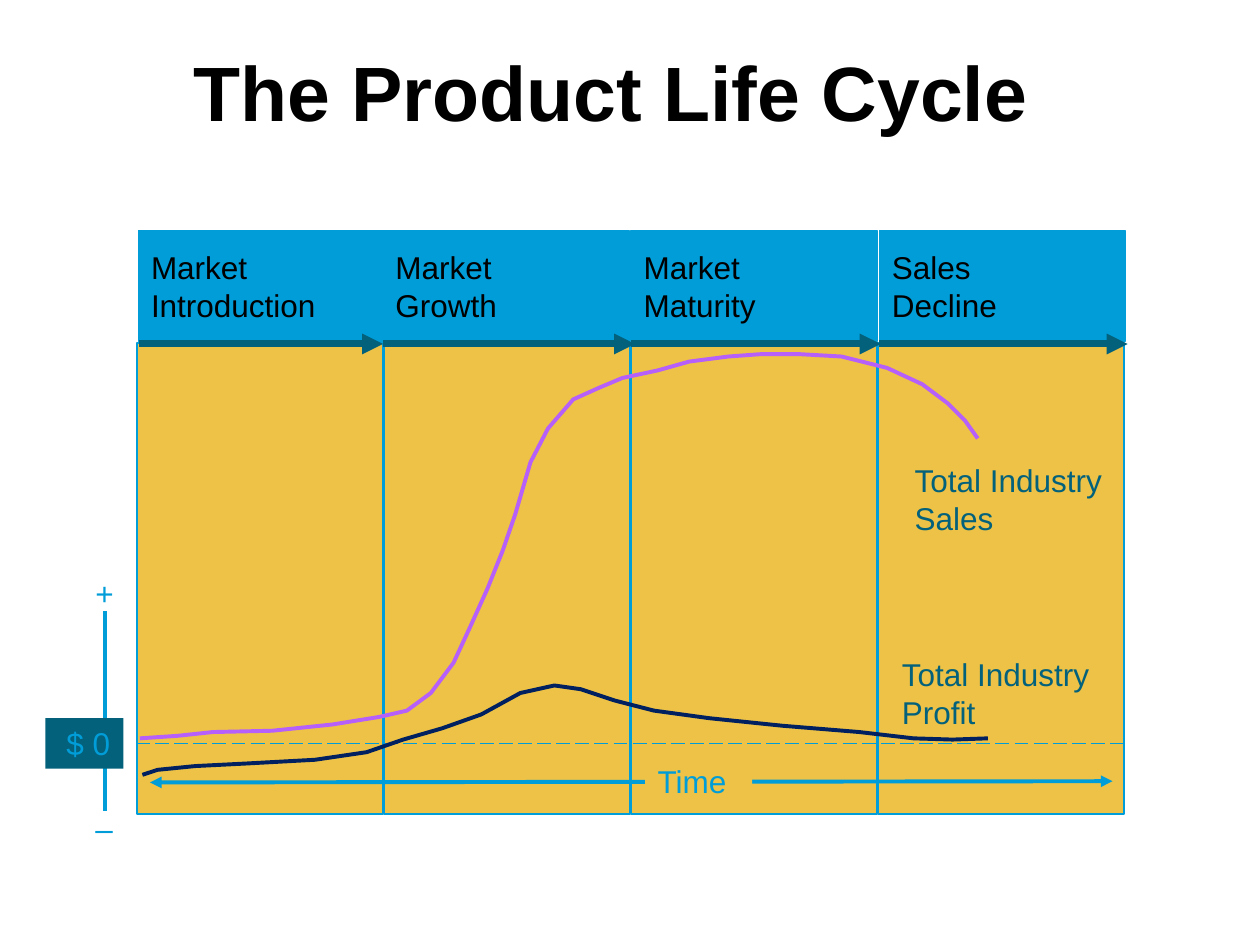
from lxml.etree import SubElement as Sub
from pptx import Presentation
from pptx.dml.color import RGBColor as Rgb
from pptx.enum.dml import MSO_LINE as Dash
from pptx.enum.shapes import MSO_CONNECTOR as Link, MSO_SHAPE as Shape
from pptx.enum.text import MSO_ANCHOR as Anchor, PP_ALIGN as Align
from pptx.oxml.ns import qn
from pptx.util import Inches, Pt

HUES = {
    "gold": "EDC246", "blue": "009DD9", "teal": "04617B",
    "violet": "B760F9", "navy": "002060", "black": "000000",
}
FONT = {"name": "Arial", "size": Pt(18), "bold": False}
HEAD = {"name": "Arial", "size": Pt(44), "bold": True}
PADS = {"margin_left": Inches(0.1), "margin_right": Inches(0.1),
        "margin_top": Inches(0.05), "margin_bottom": Inches(0.05)}
THIN = {"margin_left": Inches(0.05), "margin_right": Inches(0.05),
        "margin_top": Inches(0.02), "margin_bottom": Inches(0.02)}
STAGES = [
    (1.1, 3.04, "Market\nIntroduction"), (3.04, 5.04, "Market\nGrowth"),
    (5.01, 6.99, "Market\nMaturity"), (6.98, 8.95, "Sales\nDecline"),
]
SALES = [
    (1.11, 5.86), (1.41, 5.84), (1.69, 5.81), (2.16, 5.8), (2.64, 5.75),
    (3.01, 5.69), (3.23, 5.64), (3.42, 5.5), (3.6, 5.26), (3.73, 4.98),
    (3.87, 4.67), (3.99, 4.37), (4.09, 4.08), (4.21, 3.67), (4.35, 3.4),
    (4.55, 3.17), (4.75, 3.08), (4.94, 3), (5.22, 2.94), (5.47, 2.87),
    (5.78, 2.83), (6.05, 2.81), (6.33, 2.81), (6.68, 2.83), (7.04, 2.92),
    (7.32, 3.05), (7.52, 3.2), (7.66, 3.34), (7.76, 3.48),
]
PROFIT = [
    (1.13, 6.15), (1.25, 6.11), (1.55, 6.08), (1.95, 6.06), (2.5, 6.03),
    (2.91, 5.97), (3.2, 5.87), (3.51, 5.78), (3.82, 5.67), (4.13, 5.5),
    (4.4, 5.44), (4.61, 5.47), (4.88, 5.56), (5.19, 5.64), (5.63, 5.7),
    (6.21, 5.76), (6.82, 5.81), (7.25, 5.86), (7.56, 5.87), (7.84, 5.86),
]


def tint(hue):
    """Return the named colour."""
    return Rgb.from_string(HUES[hue])


def apply(item, form):
    """Set every attribute in a dict of format values."""
    for key, value in form.items():
        setattr(item, key, value)


def write(shape, text, hue, font=FONT, pads=PADS, align=Align.LEFT,
          anchor=Anchor.TOP, wrap=False):
    """Fill a shape with formatted paragraphs."""
    frame = shape.text_frame
    frame.text = text
    apply(frame, {**pads, "word_wrap": wrap, "vertical_anchor": anchor})
    for para in frame.paragraphs:
        para.alignment = align
        apply(para.font, font)
        para.font.color.rgb = tint(hue)


def stroke(line, hue, width):
    """Colour a line and set its width in points."""
    line.color.rgb = tint(hue)
    line.width = Pt(width)


def box(slide, spot, fill, edge=None):
    """Add a filled rectangle with an optional thin edge."""
    shape = slide.shapes.add_shape(Shape.RECTANGLE, *map(Inches, spot))
    shape.shadow.inherit = False
    shape.fill.solid()
    shape.fill.fore_color.rgb = tint(fill)
    if edge:
        stroke(shape.line, edge, 1)
    else:
        shape.line.fill.background()
    return shape


def label(slide, spot, text, hue):
    """Add a plain text box."""
    write(slide.shapes.add_textbox(*map(Inches, spot)), text, hue)


def rule(slide, ends, hue, width, tips=(), dash=None):
    """Add a straight line with optional arrowheads and dashes."""
    link = slide.shapes.add_connector(Link.STRAIGHT, *map(Inches, ends))
    stroke(link.line, hue, width)
    if dash:
        link.line.dash_style = dash
    for tip in tips:
        Sub(link.line._get_or_add_ln(), qn(f"a:{tip}"), type="triangle")
    Sub(link._element.spPr, qn("a:effectLst"))


def curve(slide, points, hue):
    """Draw an open line through the points."""
    first, *rest = [(Inches(x), Inches(y)) for x, y in points]
    pen = slide.shapes.build_freeform(*first)
    pen.add_line_segments(rest, close=False)
    shape = pen.convert_to_shape()
    shape.shadow.inherit = False
    shape.fill.background()
    stroke(shape.line, hue, 2.25)


def heading(slide):
    """Place and format the slide title."""
    title = slide.shapes.title
    spot = map(Inches, (0.67, 0.33, 8.36, 0.78))
    apply(title, dict(zip(("left", "top", "width", "height"), spot)))
    write(title, "The Product Life Cycle", "black", HEAD, THIN,
          Align.CENTER, Anchor.MIDDLE, True)


def plot(slide):
    """Draw the panels, the zero line and both curves."""
    for col in range(4):
        box(slide, (1.09 + 1.96 * col, 2.72, 1.95, 3.74), "gold", "blue")
    rule(slide, (1.08, 5.9, 8.94, 5.9), "blue", 1, dash=Dash.LONG_DASH)
    curve(slide, SALES, "violet")
    curve(slide, PROFIT, "navy")
    label(slide, (7.06, 5.15, 1.71, 0.7), "Total Industry\nProfit", "teal")
    label(slide, (7.16, 3.61, 1.71, 0.7), "Total Industry\nSales", "teal")


def axes(slide):
    """Draw the time and money axes."""
    rule(slide, (1.19, 6.21, 8.83, 6.2), "blue", 2.25, ("headEnd", "tailEnd"))
    time = box(slide, (5.12, 6, 0.85, 0.4), "gold")
    write(time, "Time", "blue", wrap=True)
    rule(slide, (0.83, 4.85, 0.83, 6.44), "blue", 2.25)
    for top, sign in ((4.51, "+"), (6.37, "–")):
        label(slide, (0.66, top, 0.34, 0.4), sign, "blue")
    write(box(slide, (0.36, 5.7, 0.62, 0.4), "teal"), " $ 0", "blue")


def stages(slide):
    """Draw the stage headers, then the arrows below them."""
    for left, _, name in STAGES:
        head = box(slide, (left, 1.83, 1.95, 0.88), "blue", "blue")
        write(head, name, "black", anchor=Anchor.MIDDLE)
    for left, right, _ in STAGES:
        rule(slide, (left, 2.73, right, 2.73), "teal", 4, ("tailEnd",))


def main():
    """Build and save the slide."""
    deck = Presentation()
    deck.slide_width, deck.slide_height = Inches(10), Inches(7.5)
    slide = deck.slides.add_slide(deck.slide_layouts[5])
    for draw in (heading, plot, axes, stages):
        draw(slide)
    deck.save("out.pptx")


if __name__ == "__main__":
    main()
